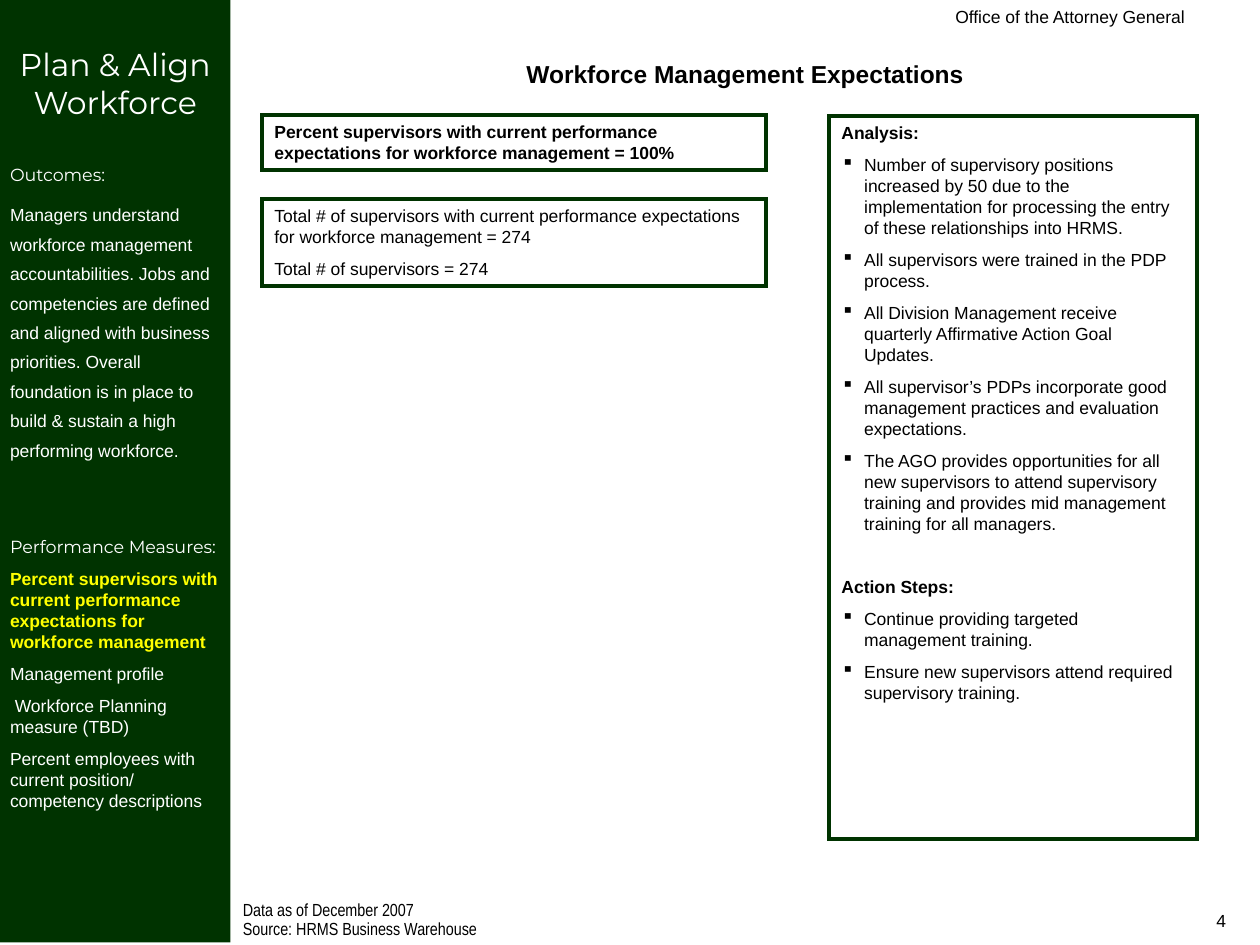
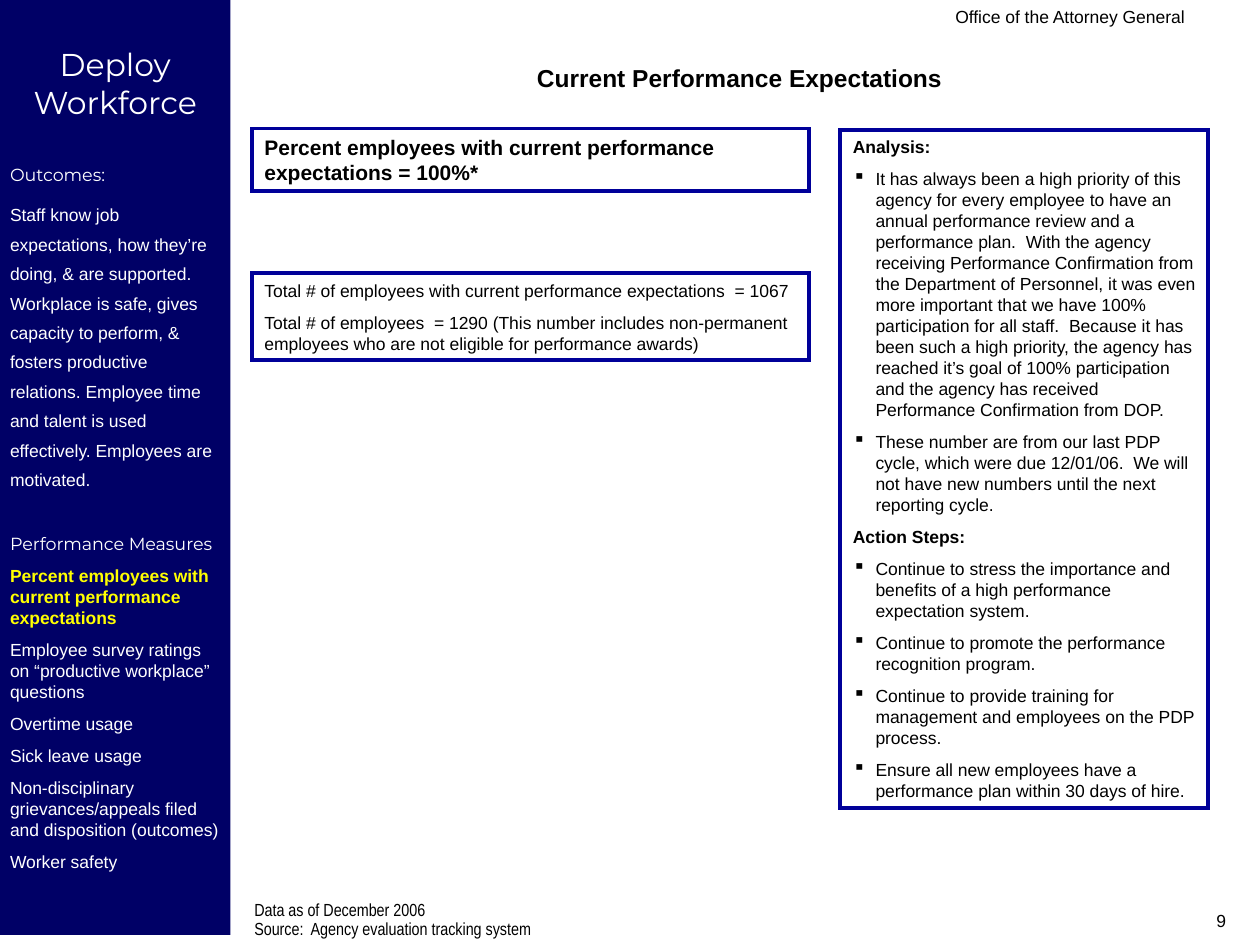
from dataclasses import dataclass
from lxml.etree import SubElement as Sub
from pptx import Presentation
from pptx.dml.color import RGBColor as RGB
from pptx.enum.shapes import MSO_SHAPE as Shape
from pptx.enum.text import MSO_ANCHOR as Anchor, PP_ALIGN as Align
from pptx.oxml.ns import qn
from pptx.util import Inches, Pt


@dataclass
class Theme:
    ink: str = "000000"
    white: str = "FFFFFF"
    mark: str = "FFFF00"
    body: str = "Arial"
    slim: str = "Arial Narrow"
    head: str = "Montserrat"
    small: float = 10
    mid: float = 12
    title: float = 14
    big: float = 18
    gap: float = 6.2   # space between paragraphs
    wide: float = 24.6  # space between sections
    border: float = 2.25


T = Theme()

pages = [
    {
        "num": "4", "band": "003300", "edge": "003300", "deep": 7.48,
        "name": "Plan & Align Workforce",
        "goal": "Managers understand workforce management accountabilities. Jobs and "
                "competencies are defined and aligned with business priorities. Overall "
                "foundation is in place to build & sustain a high performing workforce.",
        "label": "Performance Measures:", "drop": 43,
        "items": [
            "Percent supervisors with current performance expectations for workforce management",
            "Management profile",
            " Workforce Planning measure (TBD)",
            "Percent employees with current position/ competency descriptions",
        ],
        "title": "Workforce Management Expectations", "title at": (1.83, 0.42, 8.17, 0.34),
        "rate": "Percent supervisors with current performance expectations "
                "for workforce management = 100%",
        "rate at": (2.08, 0.91, 4, 0.44), "rate size": T.small,
        "totals": [
            "Total # of supervisors with current performance expectations "
            "for workforce management = 274",
            "Total # of supervisors = 274",
        ],
        "totals at": (2.08, 1.58, 4, 0.69),
        "notes": [
            "Number of supervisory positions increased by 50 due to the implementation "
            "for processing the entry of these relationships into HRMS.",
            "All supervisors were trained in the PDP process.",
            "All Division Management receive quarterly Affirmative Action Goal Updates.",
            "All supervisor’s PDPs incorporate good management practices and "
            "evaluation expectations.",
            "The AGO provides opportunities for all new supervisors to attend supervisory "
            "training and provides mid management training for all managers.",
        ],
        "steps": [
            "Continue providing targeted management training.",
            "Ensure new supervisors attend required supervisory training.",
        ],
        "step gap": 23.9, "notes at": (6.58, 0.92, 2.92, 5.74),
        "source": ["Data as of December 2007", "Source: HRMS Business Warehouse"],
        "source left": 1.83,
    },
    {
        "num": "9", "band": "000066", "edge": "000099", "deep": 7.42,
        "name": "Deploy Workforce",
        "goal": "Staff know job expectations, how they’re doing, & are supported. Workplace "
                "is safe, gives capacity to perform, & fosters productive relations. Employee "
                "time and talent is used effectively. Employees are motivated.",
        "label": "Performance Measures", "drop": T.wide,
        "items": [
            "Percent employees with current performance expectations",
            "Employee survey ratings on “productive workplace” questions",
            "Overtime usage",
            "Sick leave usage",
            "Non-disciplinary grievances/appeals filed and disposition (outcomes)",
            "Worker safety",
        ],
        "title": "Current Performance Expectations", "title at": (1.83, 0.45, 8.08, 0.34),
        "rate": "Percent employees with current performance expectations = 100%*",
        "rate at": (2, 1.02, 4.42, 0.5), "rate size": T.mid,
        "totals": [
            "Total # of employees with current performance expectations  = 1067",
            "Total # of employees  = 1290 (This number includes non-permanent employees "
            "who are not eligible for performance awards)",
        ],
        "totals at": (2, 2.17, 4.42, 0.69),
        "notes": [
            "It has always been a high priority of this agency for every employee to have an "
            "annual performance review and a performance plan.  With the agency receiving "
            "Performance Confirmation from the Department of Personnel, it was even more "
            "important that we have 100% participation for all staff.  Because it has been "
            "such a high priority, the agency has reached it’s goal of 100% participation "
            "and the agency has received Performance Confirmation from DOP.",
            "These number are from our last PDP cycle, which were due 12/01/06.  We will "
            "not have new numbers until the next reporting cycle.",
        ],
        "steps": [
            "Continue to stress the importance and benefits of a high performance "
            "expectation system.",
            "Continue to promote the performance recognition program.",
            "Continue to provide training for management and employees on the PDP process.",
            "Ensure all new employees have a performance plan within 30 days of hire.",
        ],
        "step gap": T.gap, "notes at": (6.67, 1.03, 2.92, 5.38),
        "source": ["Data as of December 2006", "Source:  Agency evaluation tracking system"],
        "source left": 1.92,
    },
]


def frame(slide, at, fill=None, edge=None, pad=(0.1, 0.05)):
    """Add a text box, or a rectangle if it has a fill or an edge; return its text frame."""
    spot = [Inches(n) for n in at]
    if fill or edge:
        box = slide.shapes.add_shape(Shape.RECTANGLE, *spot)
        box.shadow.inherit = False
        if fill:
            box.fill.solid()
            box.fill.fore_color.rgb = RGB.from_string(fill)
            box.line.fill.background()
        else:
            box.fill.background()
            box.line.color.rgb = RGB.from_string(edge)
            box.line.width = Pt(T.border)
            Sub(box._element.spPr.find(qn("a:ln")), qn("a:miter"), lim="800000")
    else:
        box = slide.shapes.add_textbox(*spot)
    text = box.text_frame
    text.word_wrap = True
    text.vertical_anchor = Anchor.TOP
    text.margin_left = text.margin_right = Inches(pad[0])
    text.margin_top = text.margin_bottom = Inches(pad[1])
    return text


def write(text, words, size=T.small, font=T.body, color=T.ink, bold=False,
          align=Align.LEFT, gap=T.gap, lead=None, dot=False):
    """Add one paragraph; the first in a frame gets no space before."""
    first = not text.paragraphs[0].runs
    para = text.paragraphs[0] if first else text.add_paragraph()
    if dot:
        prop = para._p.get_or_add_pPr()
        prop.set("marL", str(Inches(0.18)))
        prop.set("indent", str(Inches(-0.18)))
        Sub(Sub(prop, qn("a:buClr")), qn("a:srgbClr"), val=T.ink)
        Sub(prop, qn("a:buChar"), char="▪")
    para.alignment = align
    para.space_before = Pt(0 if first else gap)
    if lead:
        para.line_spacing = lead
    run = para.add_run()
    run.text = words
    run.font.size = Pt(size)
    run.font.name = font
    run.font.bold = bold
    run.font.color.rgb = RGB.from_string(color)


deck = Presentation()
deck.slide_width, deck.slide_height = Inches(10), Inches(7.5)

for page in pages:
    slide = deck.slides.add_slide(deck.slide_layouts[6])

    # Header and page number
    write(frame(slide, (4.5, 0, 5, 0.25)), "Office of the Attorney General", align=Align.RIGHT)
    write(frame(slide, (7.5, 7.17, 2.33, 0.33)), page["num"], align=Align.RIGHT)

    # Side band: stage, outcomes and measures
    band = frame(slide, (0, 0, 1.83, page["deep"]), fill=page["band"], pad=(0.08, 0.04))
    band.margin_top = Inches(0.36)
    write(band, page["name"], T.big, T.head, T.white, align=Align.CENTER)
    write(band, "Outcomes:", font=T.head, color=T.white, gap=T.wide)
    write(band, page["goal"], color=T.white, lead=1.4)
    write(band, page["label"], font=T.head, color=T.white, gap=page["drop"])
    for i, item in enumerate(page["items"]):
        write(band, item, color=T.white if i else T.mark, bold=i == 0)

    # Data source
    foot = frame(slide, (page["source left"], 7.13, 4.83, 0.37))
    for line in page["source"]:
        write(foot, line, font=T.slim, gap=2.5, lead=0.7)

    # Title, rate and totals
    write(frame(slide, page["title at"]), page["title"], T.title, bold=True, align=Align.CENTER)
    rate = frame(slide, page["rate at"], edge=page["edge"])
    write(rate, page["rate"], page["rate size"], bold=True)
    totals = frame(slide, page["totals at"], edge=page["edge"])
    for line in page["totals"]:
        write(totals, line)

    # Analysis and action steps
    notes = frame(slide, page["notes at"], edge=page["edge"])
    for head, key in (("Analysis:", "notes"), ("Action Steps:", "steps")):
        write(notes, head, bold=True, gap=page["step gap"])
        for line in page[key]:
            write(notes, line, dot=True)

deck.save("out.pptx")
